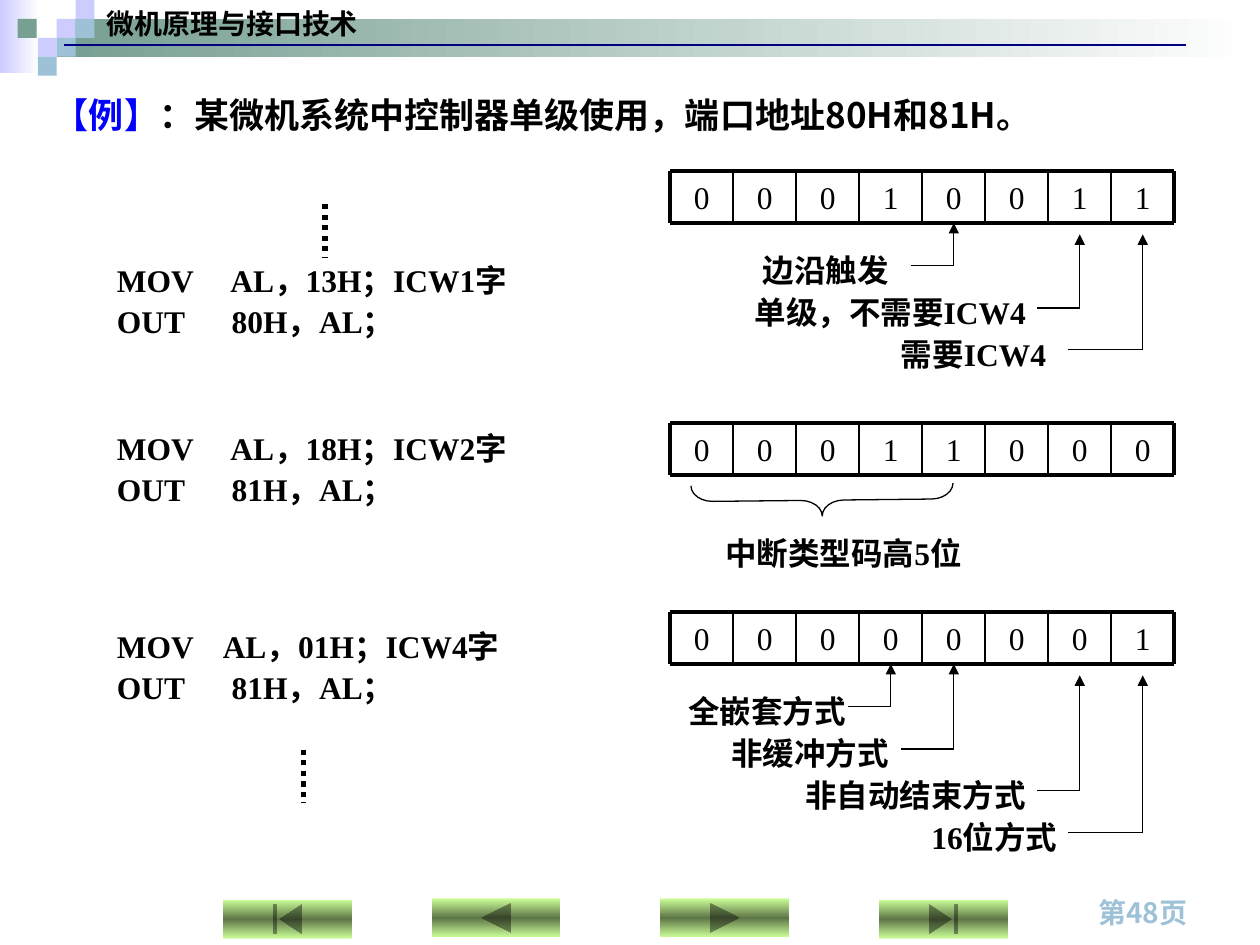
"""Build the slide on interrupt controller initialisation words."""
import pptx
import pptx.util
import pptx.dml.color
import pptx.enum.dml
import pptx.enum.shapes
import pptx.enum.text
import pptx.oxml
import pptx.oxml.ns

Inches = pptx.util.Inches
RGB = pptx.dml.color.RGBColor
Kind = pptx.enum.shapes.MSO_SHAPE
Align = pptx.enum.text.PP_ALIGN
qn = pptx.oxml.ns.qn

BLACK, WHITE, BLUE = RGB(0, 0, 0), RGB(255, 255, 255), RGB(0, 0, 255)
NAVY, LILAC = RGB(0, 0, 128), RGB(0xCC, 0xCC, 0xFF)
SKY, SAGE = RGB(0x9D, 0xC2, 0xD7), RGB(0x77, 0x9F, 0x92)
LIME, MOSS = RGB(0xCC, 0xFF, 0x99), RGB(0x5E, 0x76, 0x47)
SANS, SERIF = "Noto Sans CJK SC", "Times New Roman"

BANDS = [((0, 0, 0.31, 0.58), LILAC), ((0.45, 0.15, 9.55, 0.3), SAGE)]
TILES = [(0.45, 0.15, LILAC), (0.6, 0, LILAC), (0.6, 0.15, SKY),
         (0.3, 0.3, LILAC), (0.14, 0.15, SAGE), (0.45, 0.3, SKY),
         (0.3, 0.45, SKY)]
KEYS = [(5.24, 7.13, Kind.ACTION_BUTTON_FORWARD_OR_NEXT),
        (3.43, 7.13, Kind.ACTION_BUTTON_BACK_OR_PREVIOUS),
        (6.98, 7.14, Kind.ACTION_BUTTON_END),
        (1.77, 7.14, Kind.ACTION_BUTTON_BEGINNING)]
TITLE = [("【例】", {"color": BLUE}),
         ("：某微机系统中控制器单级使用，端口地址80H和81H。", {}),
         (" ", {"size": 28, "font": SERIF})]
CODE = [(3.36, [("MOV\tAL，18H；ICW2字", 0.9), ("OUT\t81H，AL；", 0.91)]),
        (2.02, [("MOV\tAL，13H；ICW1字", 0.9), ("OUT\t80H，AL；", 0.91)]),
        (4.93, [("MOV\tAL，01H；ICW4字", 0.84), ("OUT\t81H，AL；", 0.91)])]
DOTS = [(2.58, 1.62), (2.41, 5.95)]
WORDS = [
    (1.36, "00010011", [("边沿触发", 5.73, 1.42, 4, 7.23, 0),
                        ("单级，不需要ICW4", 5.57, 2.67, 6, 8.23, 0.09),
                        ("需要ICW4", 6.98, 1.42, 7, 8.48, 0.09)]),
    (3.36, "00011000", []),
    (4.86, "00000001", [("全嵌套方式", 5.23, 1.58, 3, 6.73, 0),
                        ("非缓冲方式", 5.57, 1.58, 4, 7.15, 0),
                        ("非自动结束方式", 5.57, 2.67, 6, 8.23, 0.09),
                        ("16位方式", 7.07, 1.42, 7, 8.48, 0.09)])]
LEFT, CELL, HIGH = 5.32, 0.5, 0.41
STEP = 1 / 3


def style(run, size, font, bold, color):
    face = run.font
    face.size, face.name, face.bold = pptx.util.Pt(size), font, bold
    face.color.rgb = color
    east = pptx.oxml.parse_xml(
        f'<a:ea {pptx.oxml.ns.nsdecls("a")} typeface="{SANS}"/>')
    face._element.find(qn("a:latin")).addnext(east)


def write(page, lines, at, size=18, font=SERIF, bold=True, color=BLACK,
          align=Align.LEFT, tabs=(), grow=True):
    box = page.shapes.add_textbox(*map(Inches, at))
    frame = box.text_frame
    frame.word_wrap = True
    if grow:
        frame.auto_size = pptx.enum.text.MSO_AUTO_SIZE.SHAPE_TO_FIT_TEXT
    base = dict(size=size, font=font, bold=bold, color=color)
    for i, line in enumerate(lines):
        para = frame.add_paragraph() if i else frame.paragraphs[0]
        para.alignment = align
        if i:
            para.space_before = pptx.util.Pt(size * 0.1)
        if tabs:
            para._p.get_or_add_pPr().append(pptx.oxml.parse_xml(
                f'<a:tabLst {pptx.oxml.ns.nsdecls("a")}>'
                f'<a:tab pos="{Inches(tabs[i])}" algn="l"/></a:tabLst>'))
        for part, more in [(line, {})] if isinstance(line, str) else line:
            run = para.add_run()
            run.text = part
            style(run, **{**base, **more})
    return box


def shape(page, kind, at, hues=(), angle=0):
    form = page.shapes.add_shape(kind, *map(Inches, at))
    form.shadow.inherit = False
    form.line.fill.background()
    if not hues:
        form.fill.background()
    elif len(hues) == 1:
        form.fill.solid()
        form.fill.fore_color.rgb = hues[0]
    else:
        form.fill.gradient()
        form.fill.gradient_angle = angle
        stops = "".join(
            f'<a:gs pos="{100000 * i // (len(hues) - 1)}">'
            f'<a:srgbClr val="{hue}"/></a:gs>' for i, hue in enumerate(hues))
        old = form._element.spPr.find(qn("a:gradFill")).find(qn("a:gsLst"))
        old.getparent().replace(old, pptx.oxml.parse_xml(
            f'<a:gsLst {pptx.oxml.ns.nsdecls("a")}>{stops}</a:gsLst>'))
    return form


def rule(page, ends, width=0.75, color=BLACK, dash=None, arrow=False):
    line = page.shapes.add_connector(
        pptx.enum.shapes.MSO_CONNECTOR.STRAIGHT, *map(Inches, ends))
    line.line.width = pptx.util.Pt(width)
    line.line.color.rgb = color
    if dash:
        line.line.dash_style = dash
    if arrow:
        line.line._get_or_add_ln().append(pptx.oxml.parse_xml(
            f'<a:tailEnd {pptx.oxml.ns.nsdecls("a")} type="triangle"/>'))
    line._element.spPr.append(pptx.oxml.parse_xml(
        f'<a:effectLst {pptx.oxml.ns.nsdecls("a")}/>'))
    return line


def word(page, top, bits, notes):
    right, base = LEFT + CELL * len(bits), top + HIGH
    cells = [write(page, [bit], (LEFT + CELL * i, top, CELL, HIGH),
                   bold=False, align=Align.CENTER, grow=False)
             for i, bit in enumerate(bits)]
    for y in (top, base):
        rule(page, (LEFT, y, right, y), 2.25)
    for i in range(len(bits) + 1):
        x = LEFT + CELL * i
        rule(page, (x, top, x, base), 2.25 if i in (0, len(bits)) else 1)
    for i, (text, left, wide, bit, start, gap) in enumerate(notes):
        y = top + 0.58 + STEP * i
        x, bend = LEFT + CELL * (bit + 0.5), y + 0.17
        write(page, [text], (left, y, wide, 0.4), align=Align.RIGHT)
        rule(page, (x, bend, start, bend))
        tip = rule(page, (x, bend, x, base + gap), arrow=True)
        if not gap:
            tip.end_connect(cells[bit], 2)


def main():
    deck = pptx.Presentation()
    deck.slide_width, deck.slide_height = Inches(10), Inches(7.5)
    page = deck.slides.add_slide(deck.slide_layouts[6])
    for at, hue in BANDS:
        shape(page, Kind.RECTANGLE, at, (hue, WHITE))
    for x, y, hue in TILES:
        shape(page, Kind.RECTANGLE, (x, y, 0.15, 0.15), (hue,))
    write(page, ["第48页"], (8.62, 7.06, 1.26, 0.37), size=16, font=SANS,
          color=SKY)
    write(page, ["微机原理与接口技术"], (0.75, 0, 8.66, 0.37), size=16,
          font=SANS)
    rule(page, (0.51, 0.36, 9.41, 0.36), 1.25, NAVY)
    for x, y, kind in KEYS:
        shape(page, kind, (x, y, 1.02, 0.31), (LIME, MOSS, LIME), 90)
    write(page, [TITLE], (0.33, 0.58, 8.9, 0.57), size=20, font=SANS)
    for top, rows in CODE:
        lines, tabs = zip(*rows)
        write(page, lines, (0.83, top, 4.5, 0.94), tabs=tabs)
    for x, y in DOTS:
        rule(page, (x, y, x, y + 0.42), 3,
             dash=pptx.enum.dml.MSO_LINE.ROUND_DOT)
    for top, bits, notes in WORDS:
        word(page, top, bits, notes)
    write(page, ["中断类型码高5位"], (5.57, 4.19, 2.25, 0.4),
          align=Align.CENTER)
    brace = shape(page, Kind.LEFT_BRACE, (6.4, 2.93, 0.25, 2.08))
    brace.rotation = 269.4
    brace.adjustments[0] = 0.69
    brace.line.color.rgb = BLACK
    brace.line.width = pptx.util.Pt(0.75)
    deck.save("out.pptx")


if __name__ == "__main__":
    main()
